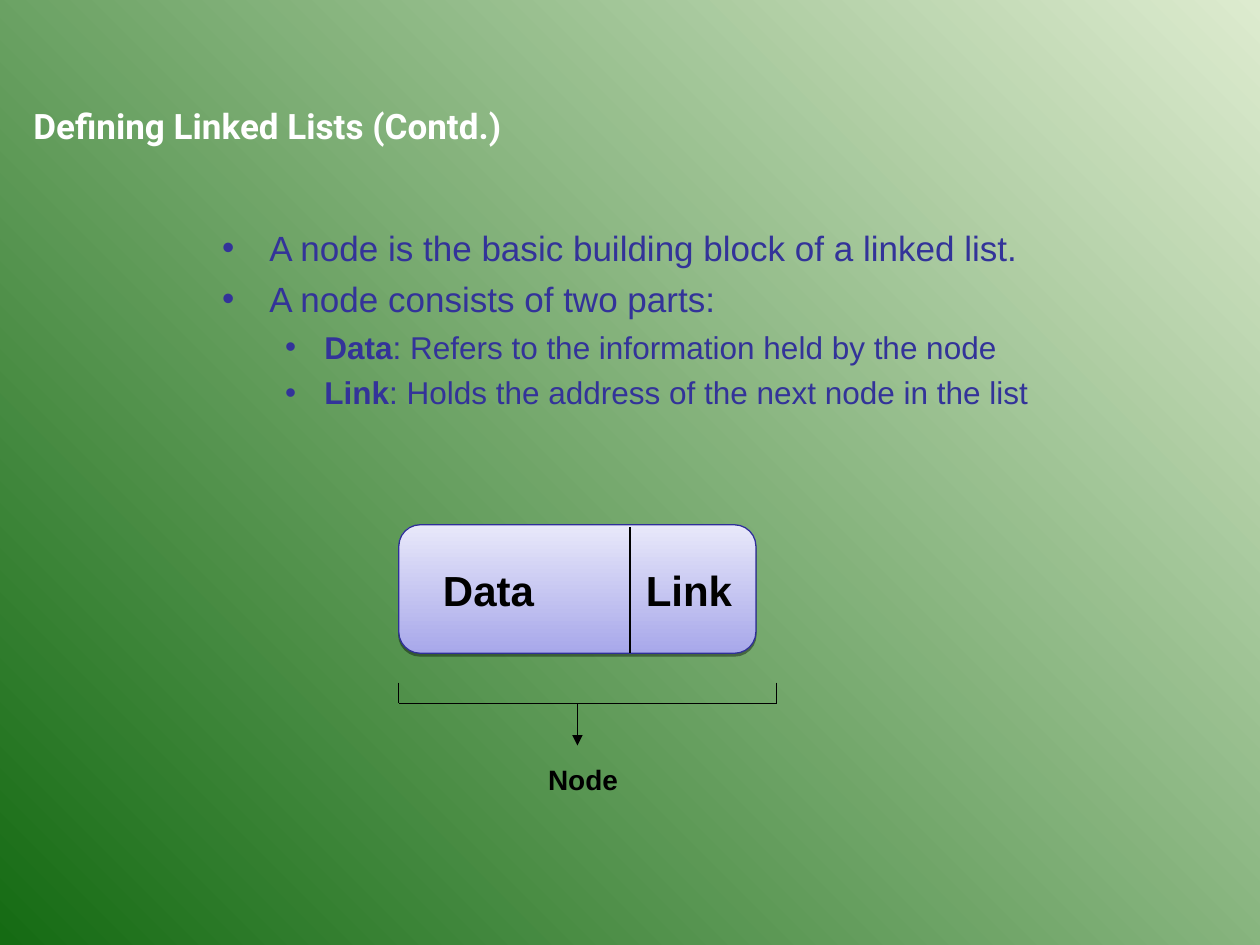
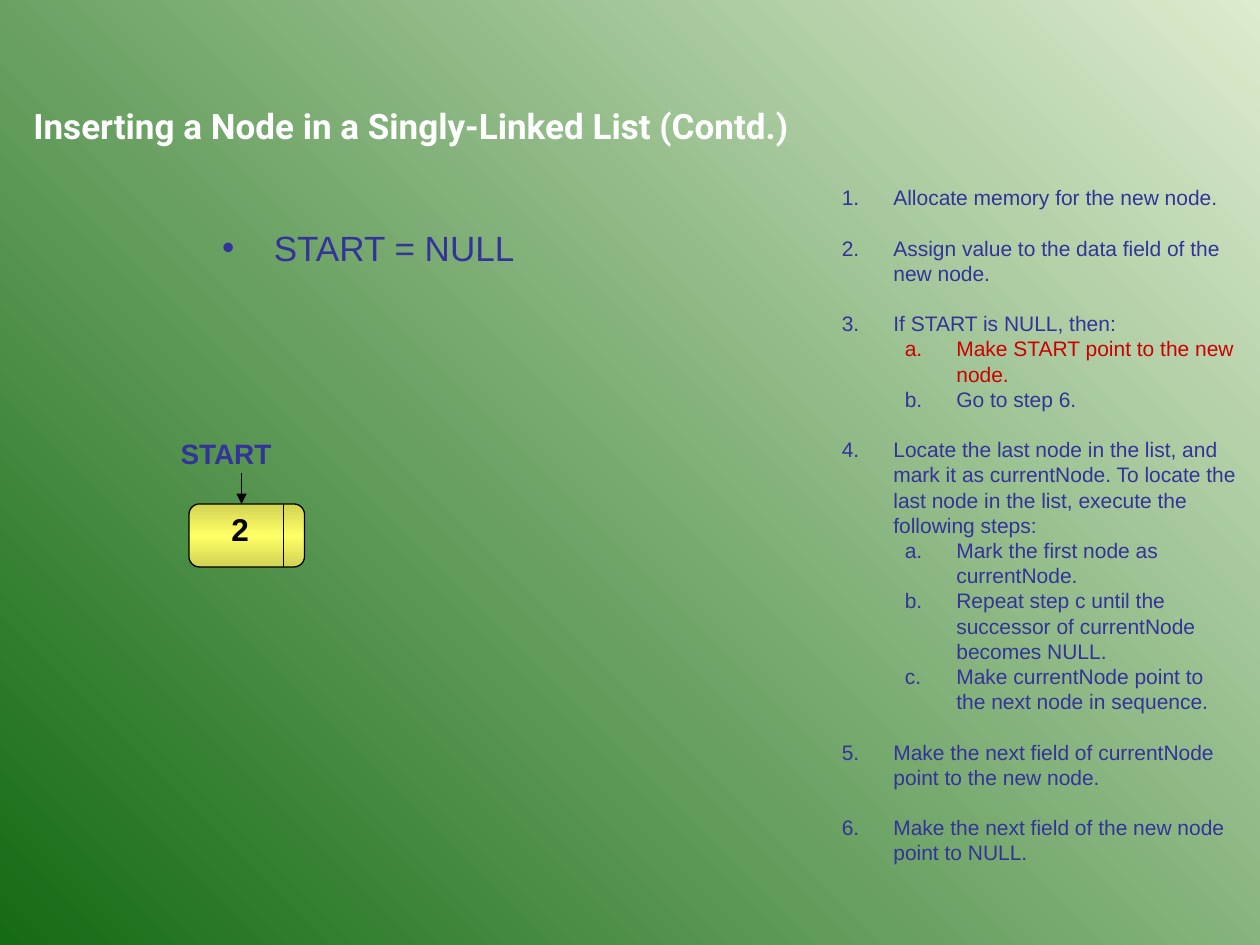
from copy import deepcopy

from lxml import etree
from pptx import Presentation
from pptx.dml.color import RGBColor
from pptx.enum.shapes import MSO_CONNECTOR, MSO_SHAPE
from pptx.enum.text import MSO_ANCHOR, MSO_AUTO_SIZE, PP_ALIGN
from pptx.oxml.ns import qn
from pptx.util import Cm, Pt

STRAIGHT = MSO_CONNECTOR.STRAIGHT
ROUNDED = MSO_SHAPE.ROUNDED_RECTANGLE
LEFT, CENTER = PP_ALIGN.LEFT, PP_ALIGN.CENTER
TOP = MSO_ANCHOR.TOP
NO_AUTOFIT = MSO_AUTO_SIZE.NONE

COLOURS = {
    "pale green": "DDEBCF", "deep green": "156B13",
    "white": "FFFFFF", "black": "000000", "text": "333399", "current step": "CC0000",
    "lilac": "A8A8EA", "pale lilac": "E8E8FA", "node outline": "2F2F98",
    "olive": "D2D254", "yellow": "FFFF66",
}
RGB = {name: RGBColor.from_string(value) for name, value in COLOURS.items()}


def add_text(slide, text, box, size, colour="black", wrap=True, align=LEFT):
    """Add a bold one-line label."""
    text_frame = slide.shapes.add_textbox(*map(Cm, box)).text_frame
    text_frame.word_wrap = wrap
    text_frame.text = text
    paragraph = text_frame.paragraphs[0]
    paragraph.alignment = align
    font = paragraph.runs[0].font
    font.name, font.size, font.bold = "Arial", Pt(size), True
    font.color.rgb = RGB[colour]


def add_line(slide, start_x, start_y, end_x, end_y, arrow=False):
    """Add a thin black line, with an arrowhead at its end if asked for."""
    connector = slide.shapes.add_connector(
        STRAIGHT, Cm(start_x), Cm(start_y), Cm(end_x), Cm(end_y))
    connector.line.color.rgb = RGB["black"]
    connector.line.width = Pt(0.75)
    if arrow:
        line_properties = connector.line._get_or_add_ln()
        etree.SubElement(line_properties, qn("a:tailEnd"), type="triangle")
    etree.SubElement(connector._element.spPr, qn("a:effectLst"))


presentation = Presentation()
presentation.slide_width, presentation.slide_height = Cm(25.4), Cm(19.05)

# Shared background
background_fill = presentation.slide_master.background.fill
background_fill.gradient()
background_fill.gradient_angle = 225
for stop, colour in zip(background_fill.gradient_stops, ("pale green", "deep green")):
    stop.color.rgb = RGB[colour]

# Slides and titles
slides = []
for title_text in ("Defining Linked Lists (Contd.)",
                   "Inserting a Node in a Singly-Linked List (Contd.)"):
    slide = presentation.slides.add_slide(presentation.slide_layouts[5])
    title = slide.shapes.title
    title.left, title.top, title.width, title.height = map(Cm, (0.42, 1.98, 19.05, 1.12))
    text_frame = title.text_frame
    text_frame.text = title_text
    text_frame.word_wrap = True
    text_frame.auto_size = NO_AUTOFIT
    text_frame.vertical_anchor = TOP
    paragraph = text_frame.paragraphs[0]
    paragraph.alignment = LEFT
    font = paragraph.runs[0].font
    font.name, font.size, font.bold = "Roboto", Pt(20), True
    font.color.rgb = RGB["white"]
    slides.append(slide)
definition_slide, insertion_slide = slides

# Lists: slide, box, hanging indents, sizes and gaps by level, numbered, items
bullet_style = {"sizes": (20, 18), "gaps": (5, 4.5), "numbering": None}
lists = [
    (definition_slide, (4.23, 4.45, 20.32, 4.04),
     {**bullet_style, "indents": ((0.95, 0.95), (2.06, 0.79))},
     [(0, "", "A node is the basic building block of a linked list."),
      (0, "", "A node consists of two parts:"),
      (1, "Data", ": Refers to the information held by the node"),
      (1, "Link", ": Holds the address of the next node in the list")]),
    (insertion_slide, (4.23, 4.45, 12.9, 1.5),
     {**bullet_style, "indents": ((1.04, 1.04),)},
     [(0, "", "START = NULL")]),
    (insertion_slide, (16.72, 3.6, 8.47, 13.97),
     {"indents": ((1.04, 1.04), (2.31, 1.04)), "sizes": (12, 12), "gaps": (14.4, 0),
      "numbering": ("arabicPeriod", "alphaLcPeriod")},
     [(0, "", "Allocate memory for the new node."),
      (0, "", "Assign value to the data field of the new node."),
      (0, "", "If START is NULL, then:"),
      (1, "", "Make START point to the new node."),
      (1, "", "Go to step 6."),
      (0, "", "Locate the last node in the list, and mark it as currentNode. "
              "To locate the last node in the list, execute the following steps:"),
      (1, "", "Mark the first node as currentNode."),
      (1, "", "Repeat step c until the successor of currentNode becomes NULL."),
      (1, "", "Make currentNode point to the next node in sequence."),
      (0, "", "Make the next field of currentNode point to the new node."),
      (0, "", "Make the next field of the new node point to NULL.")]),
]
for slide, box, style, items in lists:
    text_frame = slide.shapes.add_textbox(*map(Cm, box)).text_frame
    text_frame.word_wrap = True
    for index, (level, term, text) in enumerate(items):
        paragraph = text_frame.add_paragraph() if index else text_frame.paragraphs[0]
        colour = "current step" if text.startswith("Make START") else "text"
        margin, hanging = style["indents"][level]
        properties = paragraph._p.get_or_add_pPr()
        properties.set("marL", str(Cm(margin)))
        properties.set("indent", str(-Cm(hanging)))
        bullet_colour = etree.SubElement(properties, qn("a:buClr"))
        etree.SubElement(bullet_colour, qn("a:srgbClr"), val=COLOURS[colour])
        etree.SubElement(properties, qn("a:buFont"), typeface="Arial")
        if style["numbering"]:
            etree.SubElement(properties, qn("a:buAutoNum"), type=style["numbering"][level])
        else:
            etree.SubElement(properties, qn("a:buChar"), char="•")
        paragraph.level = level
        if index:
            paragraph.space_before = Pt(style["gaps"][level])
        for part in filter(None, (term, text)):
            run = paragraph.add_run()
            run.text = part
            run.font.name, run.font.size = "Arial", Pt(style["sizes"][level])
            run.font.bold = part == term
            run.font.color.rgb = RGB[colour]

# Nodes: slide, box, gradient angle, gradient colours, outline, has shadow
nodes = [
    (definition_slide, (8.04, 10.58, 7.2, 2.59), 90,
     ("lilac", "pale lilac"), "node outline", True),
    (insertion_slide, (3.81, 10.16, 2.33, 1.27), 270,
     ("olive", "yellow", "olive"), "black", False),
]
for slide, box, angle, colours, outline, has_shadow in nodes:
    node = slide.shapes.add_shape(ROUNDED, *map(Cm, box))
    node.shadow.inherit = False
    node.fill.gradient()
    node.fill.gradient_angle = angle
    stop_list = node._element.spPr.find(".//" + qn("a:gsLst"))
    for _ in colours[2:]:
        stop_list.append(deepcopy(stop_list[0]))
    for index, (stop, colour) in enumerate(zip(node.fill.gradient_stops, colours)):
        stop.position = index / (len(colours) - 1)
        stop.color.rgb = RGB[colour]
    node.line.color.rgb = RGB[outline]
    node.line.width = Pt(0.75)
    if has_shadow:
        effects = node._element.spPr.find(qn("a:effectLst"))
        shadow = etree.SubElement(effects, qn("a:outerShdw"), blurRad="0",
                                  dist=str(Pt(1.6)), dir="5400000", rotWithShape="0")
        shadow_colour = etree.SubElement(shadow, qn("a:srgbClr"), val=COLOURS["black"])
        etree.SubElement(shadow_colour, qn("a:alpha"), val="38000")

# Node parts and the bracket that names them
add_line(definition_slide, 12.7, 10.62, 12.7, 13.16)
add_text(definition_slide, "Data", (8.68, 11.25, 2.34, 1.27), 24, wrap=False)
add_text(definition_slide, "Link", (12.77, 11.25, 2.24, 1.27), 24, wrap=False)
bracket_left, bracket_right, bracket_top, bracket_bottom = 8.04, 15.66, 13.76, 14.18
for side in (bracket_left, bracket_right):
    add_line(definition_slide, side, bracket_top, side, bracket_bottom)
add_line(definition_slide, bracket_left, bracket_bottom, bracket_right, bracket_bottom)
add_line(definition_slide, 11.64, bracket_bottom, 11.64, 15.03, arrow=True)
add_text(definition_slide, "Node", (10.8, 15.24, 2.34, 0.94), 16)

# The first node of the list and its START pointer
add_line(insertion_slide, 5.72, 10.16, 5.72, 11.43)
add_text(insertion_slide, "2", (4.23, 10.16, 1.22, 1.02), 18, align=CENTER)
add_text(insertion_slide, "START", (3.39, 8.68, 2.54, 0.94), 16, colour="text")
add_line(insertion_slide, 4.87, 9.53, 4.87, 10.16, arrow=True)

presentation.save("out.pptx")
